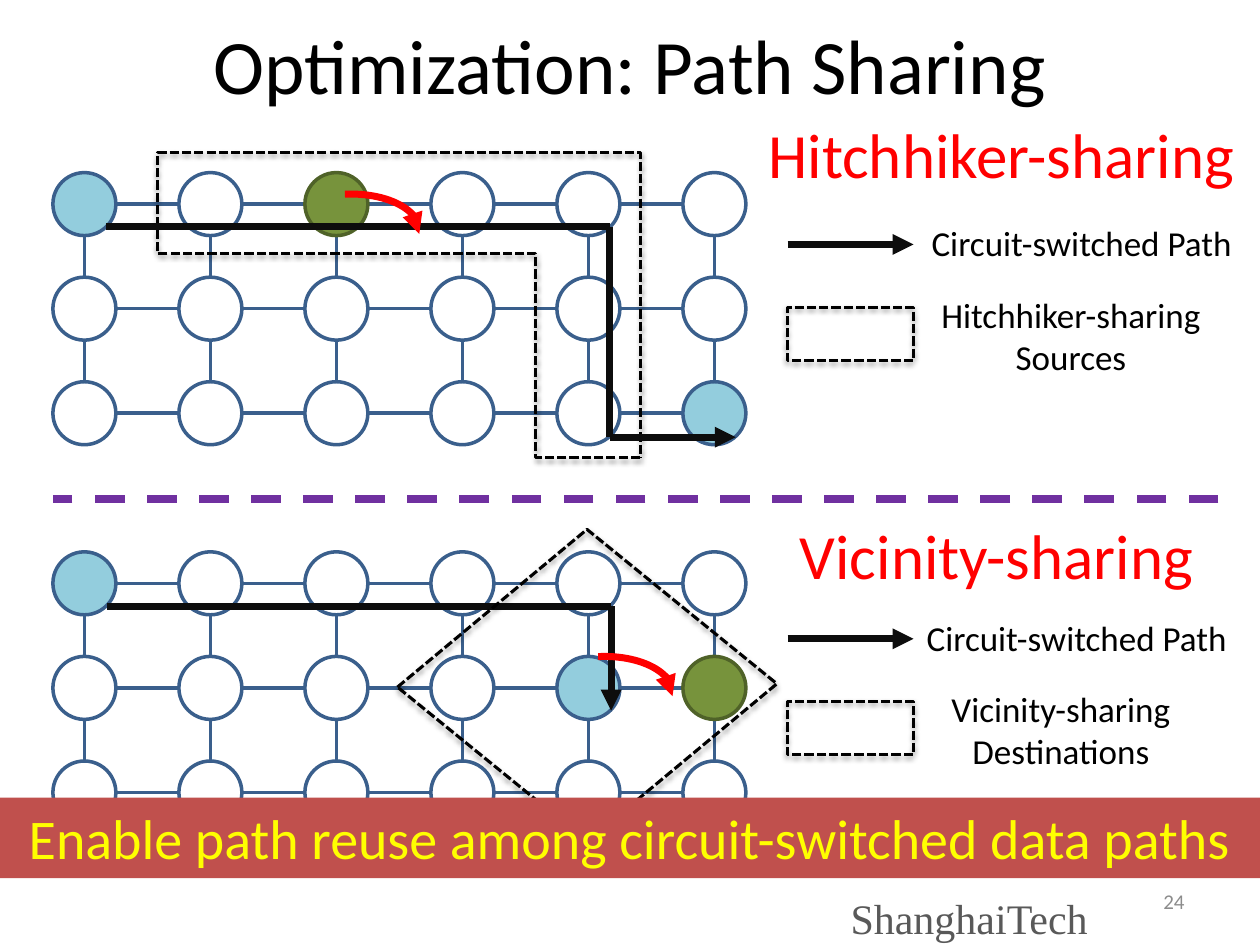
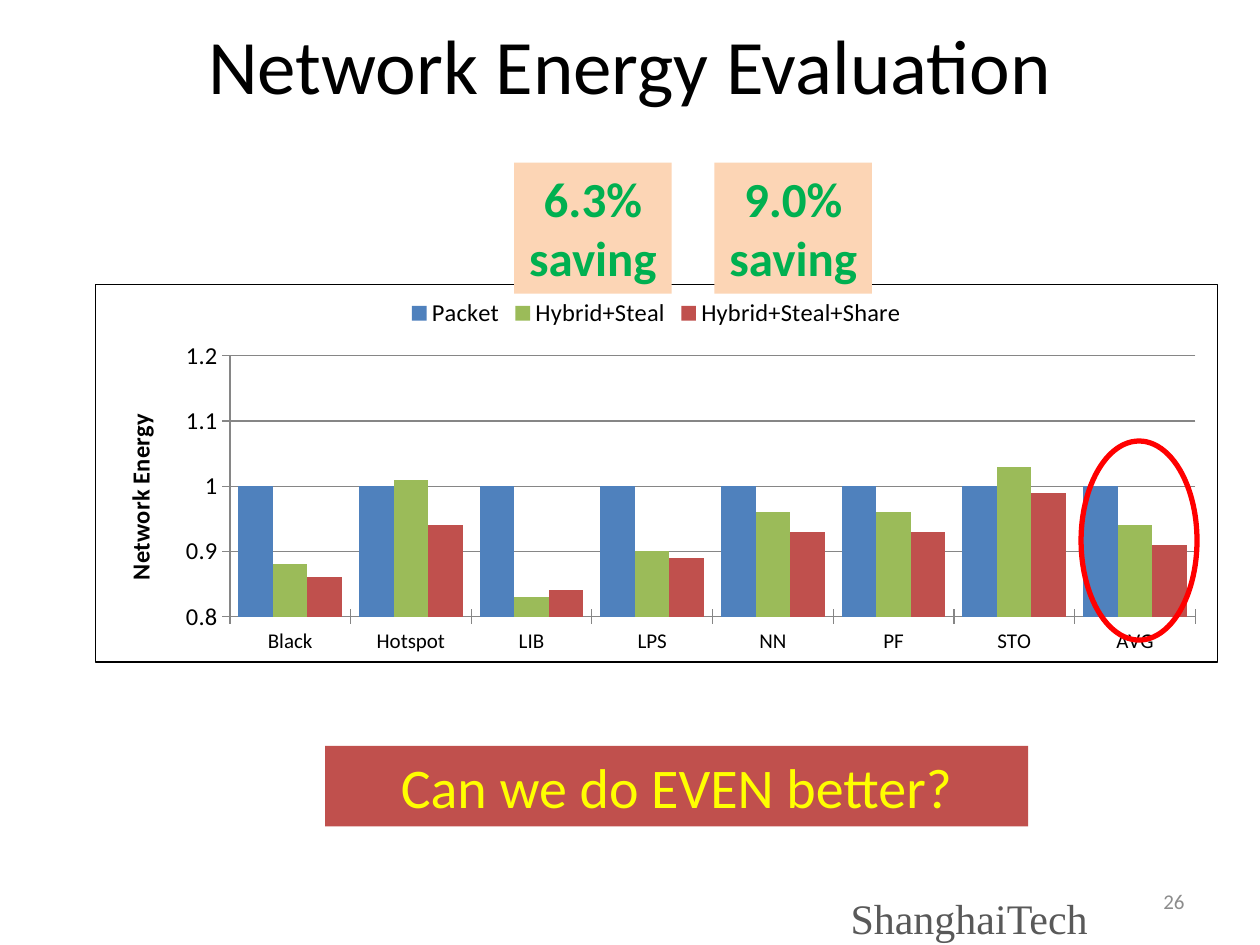
from lxml.etree import SubElement
from pptx import Presentation
from pptx.chart.data import CategoryChartData
from pptx.dml.color import RGBColor
from pptx.enum.chart import XL_CHART_TYPE, XL_LEGEND_POSITION, XL_TICK_MARK
from pptx.enum.dml import MSO_LINE
from pptx.enum.shapes import MSO_CONNECTOR, MSO_SHAPE
from pptx.enum.text import MSO_ANCHOR, PP_ALIGN
from pptx.oxml import parse_xml
from pptx.oxml.ns import nsdecls, qn
from pptx.util import Inches, Pt

BLACK, WHITE, RED, YELLOW = "000000", "FFFFFF", "FF0000", "FFFF00"
INK, BLUE, AQUA, GREEN = "0D0D0D", "3A5F8C", "93CDDD", "77933C"
MOSS, BRICK, PURPLE, PEACH = "4F6228", "C0504D", "7030A0", "FCD5B5"
FACE = "Calibri"
STEP_X, STEP_Y, NODE = 1, 0.83, 0.5
COLS, ROWS = 6, 3


def color(code):
    return RGBColor.from_string(code)


def style(item, **values):
    for name, value in values.items():
        setattr(item, name, value)


def inches(*sizes):
    return [Inches(size) for size in sizes]


def stroke(item, code, width, dash=None):
    item.line.color.rgb = color(code)
    style(item.line, width=Pt(width), dash_style=dash)


def add_head(item):
    line = item.element.spPr.find(qn("a:ln"))
    SubElement(line, qn("a:tailEnd"), type="triangle")


def write(item, text, size, code, align=PP_ALIGN.CENTER,
          anchor=MSO_ANCHOR.TOP, face=FACE, bold=False):
    frame = item.text_frame
    style(frame, word_wrap=True, vertical_anchor=anchor)
    para = frame.paragraphs[0]
    para.alignment = align
    run = para.add_run()
    run.text = text
    style(run.font, name=face, size=Pt(size), bold=bold)
    run.font.color.rgb = color(code)
    return frame


def label(slide, box, text, size, code, **looks):
    item = slide.shapes.add_textbox(*inches(*box))
    return write(item, text, size, code, **looks)


def add_form(slide, kind, box, fill=None, line=None, width=2, dash=None):
    item = slide.shapes.add_shape(kind, *inches(*box))
    item.shadow.inherit = False
    if fill:
        item.fill.solid()
        item.fill.fore_color.rgb = color(fill)
    else:
        item.fill.background()
    if line:
        stroke(item, line, width, dash)
    else:
        item.line.fill.background()
    return item


def add_line(slide, start, end, code=INK, width=4, dash=None, head=False):
    item = slide.shapes.add_connector(
        MSO_CONNECTOR.STRAIGHT, *inches(*start, *end))
    stroke(item, code, width, dash)
    if head:
        add_head(item)
    SubElement(item.element.spPr, qn("a:effectLst"))


def dashed(slide, kind, box, turn=0, bends=()):
    """Draw a dashed outline with a soft shadow."""
    item = add_form(slide, kind, box, None, BLACK, 1.75, MSO_LINE.SQUARE_DOT)
    item.rotation = turn
    for place, bend in enumerate(bends):
        item.adjustments[place] = bend
    effects = item.element.spPr.find(qn("a:effectLst"))
    shade = SubElement(effects, qn("a:outerShdw"), blurRad=str(Pt(3.1)),
                       dist=str(Pt(1.6)), dir="5400000", rotWithShape="0")
    tint = SubElement(shade, qn("a:srgbClr"), val=BLACK)
    SubElement(tint, qn("a:alpha"), val="38000")


def banner(slide, box, text, fill=BRICK, size=32, code=YELLOW, bold=False):
    item = add_form(slide, MSO_SHAPE.RECTANGLE, box, fill)
    write(item, text, size, code, bold=bold)


def add_frame(deck, title, number):
    """Start a slide with its title, school name and number."""
    slide = deck.slides.add_slide(deck.slide_layouts[6])
    frame = label(slide, (6.75, 7.08, 2.25, 0.42), "ShanghaiTech", 24,
                  "595959", align=PP_ALIGN.LEFT, face="Times New Roman")
    style(frame, margin_left=0, margin_right=0, margin_top=0, margin_bottom=0)
    label(slide, (0, 0.17, 10, 0.67), title, 44, BLACK,
          anchor=MSO_ANCHOR.MIDDLE)
    label(slide, (7.17, 6.95, 2.33, 0.4), number, 12, "8C8C8C",
          align=PP_ALIGN.RIGHT, anchor=MSO_ANCHOR.MIDDLE)
    return slide


def add_cells(slide, left, top):
    for row in range(ROWS - 1):
        for col in range(COLS - 1):
            box = (left + col * STEP_X, top + row * STEP_Y, STEP_X, STEP_Y)
            add_form(slide, MSO_SHAPE.RECTANGLE, box, WHITE, BLUE)


def add_nodes(slide, left, top, marks):
    for row in range(ROWS):
        for col in range(COLS):
            fill = marks.get((row, col), WHITE)
            box = (left + col * STEP_X - NODE / 2,
                   top + row * STEP_Y - NODE / 2, NODE, NODE)
            edge = MOSS if fill == GREEN else BLUE
            add_form(slide, MSO_SHAPE.OVAL, box, fill, edge)


def add_route(slide, left, top, stops):
    points = [(left + x, top + y) for x, y in stops]
    for start, end in zip(points, points[1:]):
        add_line(slide, start, end, head=end == points[-1])


def add_hop(slide, left, top):
    """Draw the curved red arrow."""
    item = add_form(slide, MSO_SHAPE.ARC, (left, top, 1.08, 0.58),
                    None, RED, 4)
    item.adjustments[0], item.adjustments[1] = 155.817, 1.635
    add_head(item)


def add_key(slide, left, top, indent, text):
    add_line(slide, (left, top), (left + 1, top), head=True)
    dashed(slide, MSO_SHAPE.RECTANGLE, (left, top + 0.5, 1, 0.42))
    label(slide, (left + indent, top - 0.23, 3.67 - indent, 0.44),
          "Circuit-switched Path", 20, BLACK)
    label(slide, (left + indent, top + 0.34, 2.5, 0.77), text, 20, BLACK)


def add_hitch(slide, left, top):
    add_cells(slide, left, top)
    dashed(slide, MSO_SHAPE.from_xml("corner"),
           (left + 0.58, top - 0.41, 3.83, 2.42), 180, (0.331, 0.342))
    add_nodes(slide, left, top, {(0, 0): AQUA, (0, 2): GREEN, (2, 5): AQUA})
    add_route(slide, left, top,
              [(0.17, 0.18), (4.17, 0.18), (4.17, 1.85), (5.17, 1.85)])
    add_hop(slide, left + 1.58, top - 0.08)
    add_key(slide, left + 5.58, top + 0.32, 1, "Hitchhiker-sharing Sources")
    label(slide, (left + 5.33, top - 0.75, 4, 0.71), "Hitchhiker-sharing",
          36, RED, align=PP_ALIGN.LEFT)


def add_near(slide, left, top):
    """Draw the vicinity-sharing mesh."""
    add_cells(slide, left, top)
    add_nodes(slide, left, top, {(0, 0): AQUA, (1, 4): AQUA, (1, 5): GREEN})
    add_route(slide, left, top, [(0.18, 0.18), (4.18, 0.18), (4.18, 1.01)])
    add_hop(slide, left + 3.59, top + 0.58)
    dashed(slide, MSO_SHAPE.PARALLELOGRAM,
           (left + 2.83, top - 0.15, 2.32, 1.92), 39.1, (0.197,))
    add_key(slide, left + 5.58, top + 0.44, 0.92,
            "Vicinity-sharing Destinations")
    label(slide, (left + 5.58, top - 0.58, 3.5, 0.71), "Vicinity-sharing",
          36, RED, align=PP_ALIGN.LEFT)


def add_paths(deck):
    slide = add_frame(deck, "Optimization: Path Sharing", "24")
    add_hitch(slide, 0.67, 1.62)
    add_near(slide, 0.67, 4.63)
    add_line(slide, (9.67, 3.96), (0.42, 3.96), PURPLE, 4.25, MSO_LINE.DASH)
    banner(slide, (0, 6.33, 10, 0.64),
           "Enable path reuse among circuit-switched data paths")


def trim_chart(chart):
    """Give the chart a black border and a fixed plot area."""
    chart.element.find(qn("c:txPr")).addprevious(parse_xml(
        f'<c:spPr {nsdecls("c", "a")}><a:ln w="{Pt(0.75)}"><a:solidFill>'
        f'<a:srgbClr val="{BLACK}"/></a:solidFill></a:ln></c:spPr>'))
    area = chart.element.find(".//" + qn("c:plotArea"))
    for old in area.findall(qn("c:layout")):
        area.remove(old)
    layout = parse_xml(f'<c:layout {nsdecls("c")}><c:manualLayout/></c:layout>')
    values = {"layoutTarget": "inner", "xMode": "edge", "yMode": "edge",
              "x": "0.12", "y": "0.19", "w": "0.86", "h": "0.69"}
    for name, value in values.items():
        SubElement(layout[0], qn("c:" + name), val=value)
    area.insert(0, layout)


def add_bars(slide, box):
    data = CategoryChartData()
    data.categories = ["Black", "Hotspot", "LIB", "LPS",
                       "NN", "PF", "STO", "AVG"]
    series = {
        "Packet": ("4F81BD", [1] * 8),
        "Hybrid+Steal": (
            "9BBB59", [0.88, 1.01, 0.83, 0.9, 0.96, 0.96, 1.03, 0.94]),
        "Hybrid+Steal+Share": (
            BRICK, [0.86, 0.94, 0.84, 0.89, 0.93, 0.93, 0.99, 0.91]),
    }
    for name, (_, values) in series.items():
        data.add_series(name, values)
    chart = slide.shapes.add_chart(
        XL_CHART_TYPE.COLUMN_CLUSTERED, *inches(*box), data).chart
    style(chart, has_title=False, has_legend=True)
    style(chart.font, name=FACE, size=Pt(14))
    chart.font.color.rgb = color(BLACK)
    style(chart.legend, position=XL_LEGEND_POSITION.TOP,
          include_in_layout=False)
    plot = chart.plots[0]
    style(plot, gap_width=50, overlap=0, vary_by_categories=False)
    for bars, (fill, _) in zip(plot.series, series.values()):
        bars.format.fill.solid()
        bars.format.fill.fore_color.rgb = color(fill)
    axis = chart.value_axis
    style(axis, minimum_scale=0.8, maximum_scale=1.2, major_unit=0.1,
          has_major_gridlines=True)
    for side in (axis, chart.category_axis):
        side.major_tick_mark = XL_TICK_MARK.CROSS
        side.format.line.color.rgb = color("868686")
    axis.major_gridlines.format.line.color.rgb = color("868686")
    chart.category_axis.tick_labels.font.size = Pt(12)
    run = axis.axis_title.text_frame.paragraphs[0].add_run()
    run.text = "Network Energy"
    style(run.font, name=FACE, size=Pt(14), bold=True)
    trim_chart(chart)


def add_energy(deck):
    slide = add_frame(deck, "Network Energy Evaluation", "26")
    add_bars(slide, (0.75, 2.25, 8.92, 3.01))
    banner(slide, (2.58, 5.92, 5.58, 0.64), "Can we do EVEN better?")
    for left, share in ((4.08, "6.3%"), (5.67, "9.0%")):
        banner(slide, (left, 1.29, 1.25, 1.04), f"{share} saving",
               PEACH, 28, "00B050", True)
    add_form(slide, MSO_SHAPE.OVAL, (8.58, 3.5, 0.92, 1.58), None, RED, 3)


def main():
    deck = Presentation()
    style(deck, slide_width=Inches(10), slide_height=Inches(7.5))
    add_paths(deck)
    add_energy(deck)
    deck.save("out.pptx")


if __name__ == "__main__":
    main()
